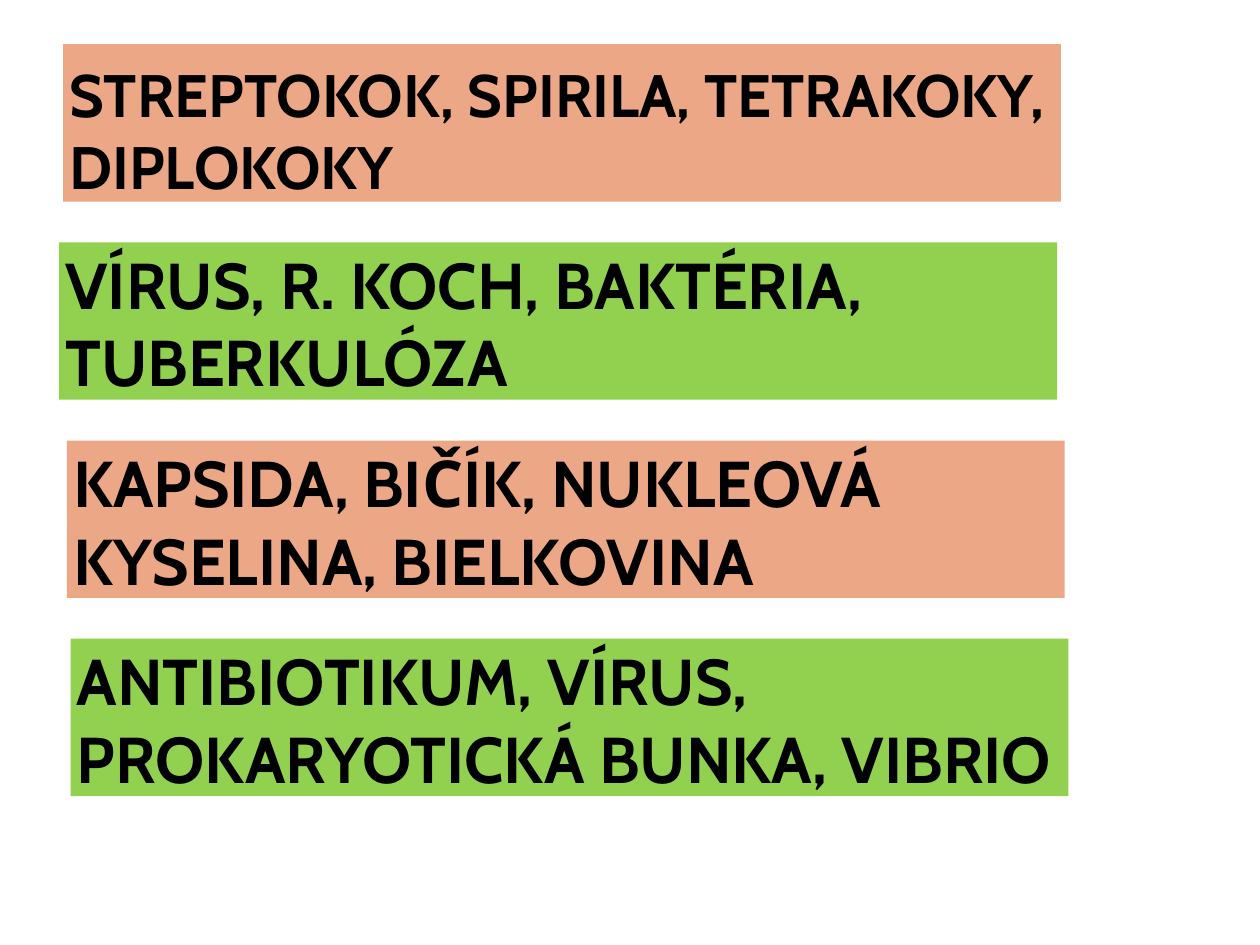
from pptx import Presentation
from pptx.dml.color import RGBColor
from pptx.enum.shapes import MSO_SHAPE as Shape
from pptx.enum.text import MSO_ANCHOR as Anchor, MSO_AUTO_SIZE as AutoSize, PP_ALIGN as Align
from pptx.util import Inches, Pt

SALMON = RGBColor(0xEB, 0xA7, 0x86)
GREEN = RGBColor(0x92, 0xD0, 0x50)
BLACK = RGBColor(0, 0, 0)

BAND_WIDTH, BAND_HEIGHT = Inches(7.92), Inches(1.25)
FIRST_TOP, BAND_STEP = 0.35, 1.573

word_groups = [
    ("STREPTOKOK, SPIRILA, TETRAKOKY, DIPLOKOKY", 0.5, 34.2),
    ("VÍRUS, R. KOCH, BAKTÉRIA, TUBERKULÓZA", 0.47, 37),
    ("KAPSIDA, BIČÍK, NUKLEOVÁ KYSELINA, BIELKOVINA", 0.53, 37),
    ("ANTIBIOTIKUM, VÍRUS, PROKARYOTICKÁ BUNKA, VIBRIO", 0.56, 37),
]

presentation = Presentation()
presentation.slide_width = Inches(10)
presentation.slide_height = Inches(7.5)
slide = presentation.slides.add_slide(presentation.slide_layouts[5])

for index, (words, left, size) in enumerate(word_groups):
    position = Inches(left), Inches(FIRST_TOP + index * BAND_STEP)
    if index == 0:
        band = slide.shapes.title
        band.left, band.top = position
        band.width, band.height = BAND_WIDTH, BAND_HEIGHT
    else:
        band = slide.shapes.add_shape(Shape.RECTANGLE, *position, BAND_WIDTH, BAND_HEIGHT)
        band.shadow.inherit = False
    band.fill.solid()
    band.fill.fore_color.rgb = GREEN if index % 2 else SALMON
    band.line.fill.background()

    text_frame = band.text_frame
    text_frame.text = words
    text_frame.word_wrap = True
    text_frame.auto_size = AutoSize.NONE
    text_frame.vertical_anchor = Anchor.BOTTOM
    text_frame.margin_left = text_frame.margin_right = Inches(0.05)
    text_frame.margin_top = text_frame.margin_bottom = 0

    paragraph = text_frame.paragraphs[0]
    paragraph.alignment = Align.LEFT
    font = paragraph.runs[0].font
    font.name = "Cabin"
    font.size = Pt(size)
    font.bold = True
    font.color.rgb = BLACK

presentation.save("out.pptx")
